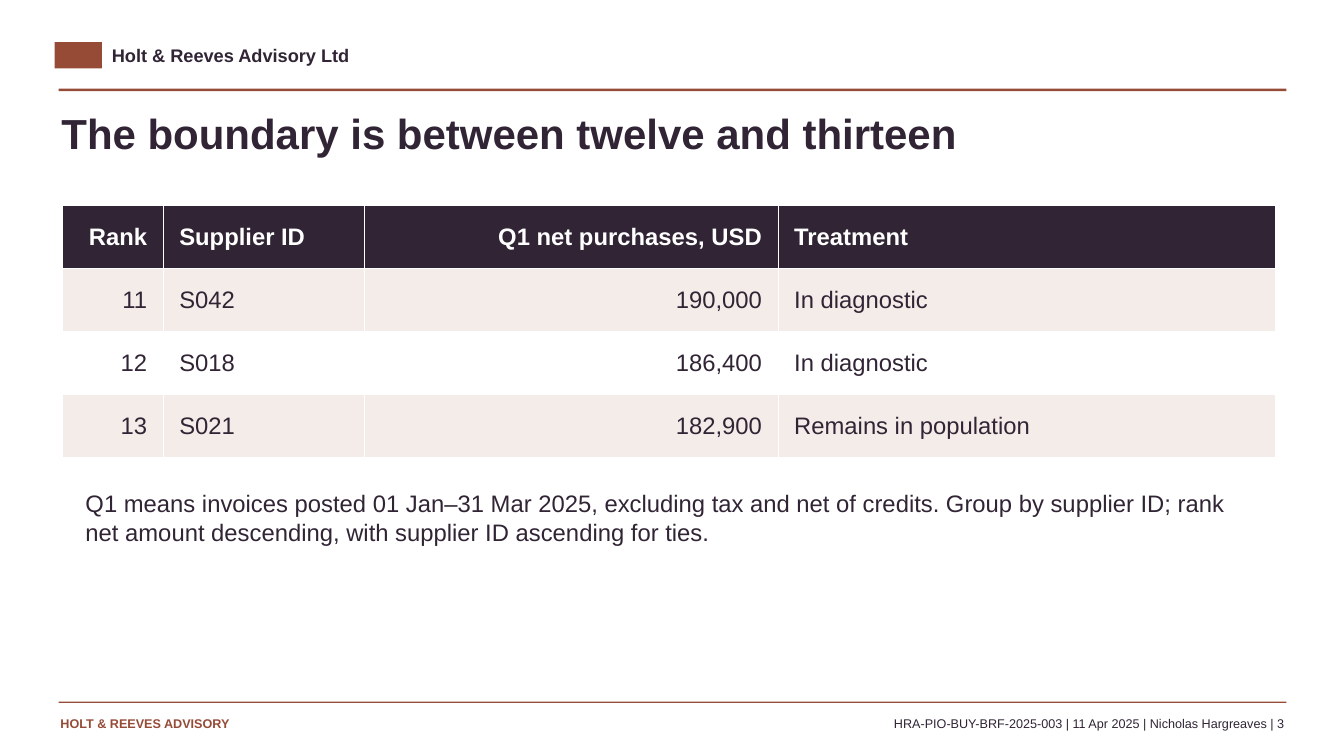
from dataclasses import dataclass

from pptx import Presentation
from pptx.dml.color import RGBColor
from pptx.enum.shapes import MSO_SHAPE as Shape
from pptx.enum.text import MSO_ANCHOR as Anchor, PP_ALIGN as Align
from pptx.util import Pt

INK, RUST, BLUSH, WHITE = "302435", "964B37", "F4ECE8", "FFFFFF"


@dataclass
class Bar:
    left: float
    top: float
    width: float
    height: float


@dataclass
class Label:
    text: str
    left: float
    top: float
    width: float
    height: float
    size: float
    color: str = INK
    bold: bool = False
    align: Align = Align.LEFT
    inset: tuple = (0, 0)


@dataclass
class Column:
    head: str
    width: float
    align: Align = Align.LEFT


LOGO = Bar(39, 30.2, 33.8, 18.7)
RULES = [Bar(41.8, 63.4, 877, 1.7), Bar(41.8, 501.1, 877, 1)]

LABELS = [
    Label("Holt & Reeves Advisory Ltd", 79.9, 31.7, 432, 19.4, 13, bold=True),
    Label("The boundary is between twelve and thirteen",
          43.9, 77, 864, 56.2, 30, bold=True),
    Label("Q1 means invoices posted 01 Jan–31 Mar 2025, excluding tax and net "
          "of credits. Group by supplier ID; rank net amount descending, with "
          "supplier ID ascending for ties.",
          54, 345.6, 842.4, 86.4, 17, inset=(7.2, 3.6)),
    Label("HOLT & REEVES ADVISORY", 43.2, 511.2, 244.8, 18, 9, RUST, True),
    Label("HRA-PIO-BUY-BRF-2025-003 | 11 Apr 2025 | Nicholas Hargreaves | 3",
          296.6, 511.2, 620.6, 15.8, 9, align=Align.RIGHT),
]

COLUMNS = [
    Column("Rank", 72, Align.RIGHT),
    Column("Supplier ID", 144),
    Column("Q1 net purchases, USD", 295.2, Align.RIGHT),
    Column("Treatment", 355.7),
]
ROWS = [
    ("11", "S042", "190,000", "In diagnostic"),
    ("12", "S018", "186,400", "In diagnostic"),
    ("13", "S021", "182,900", "Remains in population"),
]
ROW_HIGH = 45


def paint(target, color: str) -> None:
    """Give a fill or a font a solid colour from a hex string."""
    if hasattr(target, "solid"):
        target.solid()
        target.fore_color.rgb = RGBColor.from_string(color)
    else:
        target.color.rgb = RGBColor.from_string(color)


def style(frame, size: float, color: str, bold: bool, align: Align) -> None:
    for par in frame.paragraphs:
        par.alignment = align
        for run in par.runs:
            run.font.name = "Arial"
            run.font.size = Pt(size)
            run.font.bold = bold
            paint(run.font, color)


def draw_bar(slide, bar: Bar) -> None:
    shape = slide.shapes.add_shape(Shape.RECTANGLE, Pt(bar.left), Pt(bar.top),
                                   Pt(bar.width), Pt(bar.height))
    shape.shadow.inherit = False
    shape.line.fill.background()
    paint(shape.fill, RUST)


def draw_label(slide, label: Label) -> None:
    box = slide.shapes.add_textbox(Pt(label.left), Pt(label.top),
                                   Pt(label.width), Pt(label.height))
    frame = box.text_frame
    frame.word_wrap = True
    side, edge = label.inset
    frame.margin_left = frame.margin_right = Pt(side)
    frame.margin_top = frame.margin_bottom = Pt(edge)
    frame.text = label.text
    style(frame, label.size, label.color, label.bold, label.align)


def draw_table(slide, left: float, top: float) -> None:
    grid = [tuple(col.head for col in COLUMNS), *ROWS]
    width = sum(col.width for col in COLUMNS)
    table = slide.shapes.add_table(len(grid), len(COLUMNS), Pt(left), Pt(top),
                                   Pt(width), Pt(ROW_HIGH * len(grid))).table
    for c, col in enumerate(COLUMNS):
        table.columns[c].width = Pt(col.width)
    for r, texts in enumerate(grid):
        table.rows[r].height = Pt(ROW_HIGH)
        head = r == 0
        fill = INK if head else BLUSH if r % 2 else WHITE
        for c, (text, col) in enumerate(zip(texts, COLUMNS)):
            cell = table.cell(r, c)
            paint(cell.fill, fill)
            cell.vertical_anchor = Anchor.MIDDLE
            cell.margin_left = cell.margin_right = Pt(11.5)
            cell.margin_top = cell.margin_bottom = Pt(3.6)
            cell.text_frame.text = text
            style(cell.text_frame, 17, WHITE if head else INK, head, col.align)


def main() -> None:
    deck = Presentation()
    deck.slide_width, deck.slide_height = Pt(960), Pt(540)
    slide = deck.slides.add_slide(deck.slide_layouts[6])
    paint(slide.background.fill, WHITE)
    for bar in (LOGO, *RULES):
        draw_bar(slide, bar)
    for label in LABELS:
        draw_label(slide, label)
    draw_table(slide, 44.6, 146.9)
    deck.save("out.pptx")


if __name__ == "__main__":
    main()
